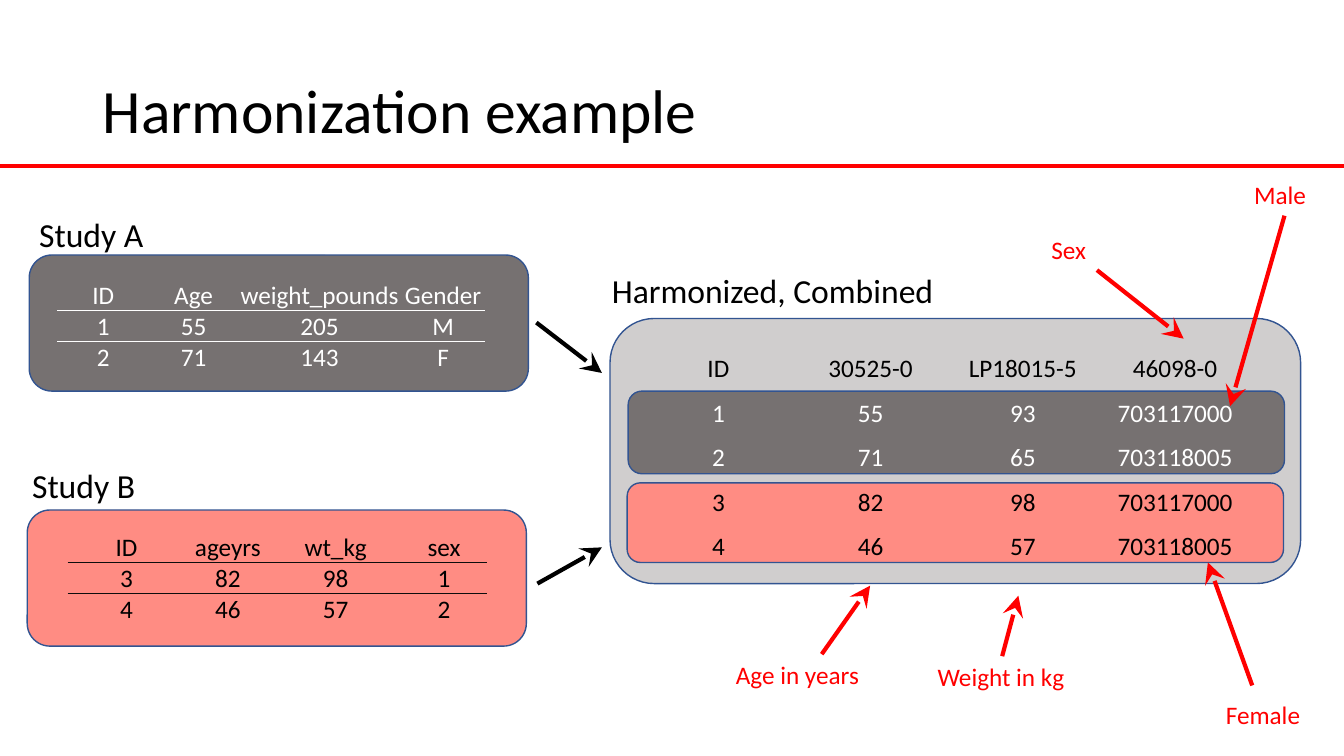
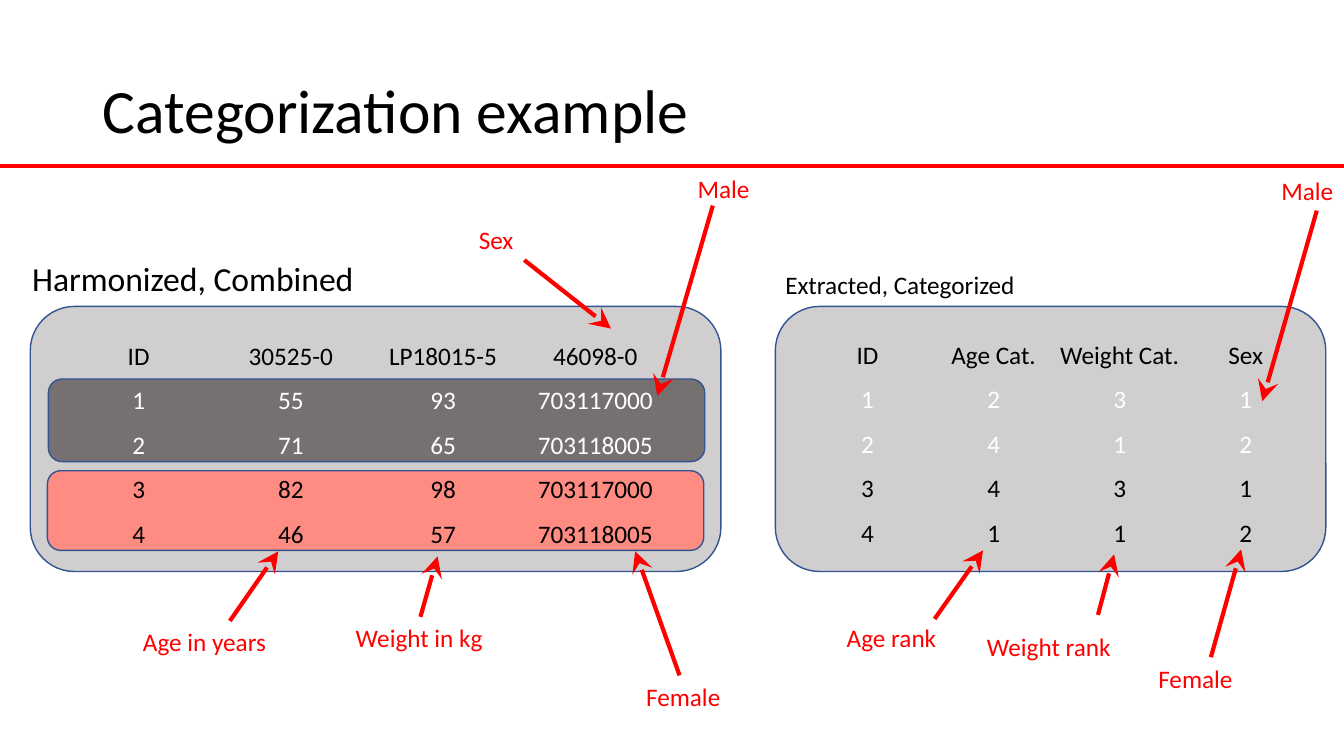
from lxml import etree
from pptx import Presentation
from pptx.dml.color import RGBColor
from pptx.enum import shapes, text
from pptx.oxml import ns
from pptx.util import Inches, Pt

# Shared look
FONT = "Calibri"
BLACK = RGBColor(0, 0, 0)
WHITE = RGBColor(255, 255, 255)
RED = RGBColor(255, 0, 0)
GRAY = RGBColor(0x76, 0x71, 0x71)
LIGHT_GRAY = RGBColor(0xD0, 0xCE, 0xCE)
SALMON = RGBColor(0xFF, 0x8C, 0x83)
OUTLINE = RGBColor(0x32, 0x54, 0x91)
NEAR_BLACK = RGBColor(0x0D, 0x0D, 0x0D)
NO_STYLE = "{2D5ABB26-0587-4C30-8999-92F81FD0307C}"
WIDTH, HEIGHT = 13.33, 7.5

# Table content
STUDY_A = [("ID", "Age", "weight_pounds", "Gender"),
           ("1", "55", "205", "M"),
           ("2", "71", "143", "F")]
STUDY_B = [("ID", "ageyrs", "wt_kg", "sex"),
           ("3", "82", "98", "1"),
           ("4", "46", "57", "2")]
COMBINED = [("ID", "30525-0", "LP18015-5", "46098-0"),
            ("1", "55", "93", "703117000"),
            ("2", "71", "65", "703118005"),
            ("3", "82", "98", "703117000"),
            ("4", "46", "57", "703118005")]
CATEGORIZED = [("ID", "Age Cat.", "Weight Cat.", "Sex"),
               ("1", "2", "3", "1"),
               ("2", "4", "1", "2"),
               ("3", "4", "3", "1"),
               ("4", "1", "1", "2")]
MERGED_COLORS = [BLACK, WHITE, WHITE, BLACK, BLACK]

# Study panels: name, name position, panel position, fill, text colour,
# rule colour, table position, column widths, rows
STUDIES = [
    ("Study B", (0.22, 4.56, 1.23), (0.27, 5.06), SALMON, BLACK, NEAR_BLACK,
     (0.67, 5.27), (1.17, 0.84, 1.3, 0.85), STUDY_B),
    ("Study A", (0.29, 2.07, 1.25), (0.29, 2.53), GRAY, WHITE, WHITE,
     (0.57, 2.77), (0.91, 0.88, 1.62, 0.83), STUDY_A),
]
MERGE_ARROWS = [((5.33, 5.79), (5.97, 5.43)), ((5.32, 3.2), (5.97, 3.7))]

# Callouts: label, label position, arrow tail, arrow tip
LABEL_WIDTHS = {"Age in years": 1.44, "Weight in kg": 1.48, "Sex": 0.55,
                "Male": 0.72, "Female": 1.03, "Age rank": 1.1,
                "Weight rank": 1.44}
WRAPPED_LABELS = {"Female"}
HARMONIZATION_CALLOUTS = [
    ("Age in years", (7.2, 6.49), (8.15, 6.49), (8.63, 5.81)),
    ("Weight in kg", (9.2, 6.51), (9.94, 6.51), (10.1, 5.91)),
    ("Sex", (10.33, 2.28), (10.88, 2.68), (11.74, 3.36)),
    ("Male", (12.34, 1.73), (12.74, 2.14), (12.2, 4.03)),
    ("Female", (12.06, 6.89), (12.42, 6.8), (11.98, 5.58)),
]
CATEGORIZATION_CALLOUTS = [
    ("Age in years", (1.32, 6.16), (2.28, 6.16), (2.76, 5.47)),
    ("Weight in kg", (3.43, 6.12), (4.17, 6.12), (4.34, 5.52)),
    ("Sex", (4.65, 2.18), (5.2, 2.58), (6.06, 3.26)),
    ("Male", (6.82, 1.67), (7.07, 2.04), (6.52, 3.93)),
    ("Female", (6.31, 6.71), (6.74, 6.7), (6.3, 5.47)),
    ("Age rank", (8.3, 6.12), (9.27, 6.14), (9.75, 5.46)),
    ("Weight rank", (9.69, 6.21), (10.89, 6.1), (11.05, 5.5)),
    ("Male", (12.61, 1.69), (13.06, 2.09), (12.52, 3.98)),
    ("Female", (11.39, 6.53), (12.01, 6.52), (12.31, 5.45)),
]

presentation = Presentation()
presentation.slide_width = Inches(WIDTH)
presentation.slide_height = Inches(HEIGHT)


# Drawing helpers
def write(frame, words, size=18, color=BLACK, align=None, spacing=None):
    paragraph = frame.paragraphs[0]
    paragraph.alignment = align
    paragraph.line_spacing = spacing
    run = paragraph.add_run()
    run.text = words
    run.font.name = FONT
    run.font.size = Pt(size)
    run.font.color.rgb = color


def add_label(slide, words, left, top, width, size=18, wrap=False, **style):
    height = 0.5 if size > 18 else 0.4
    frame = slide.shapes.add_textbox(
        Inches(left), Inches(top), Inches(width), Inches(height)).text_frame
    frame.word_wrap = wrap
    frame.auto_size = text.MSO_AUTO_SIZE.SHAPE_TO_FIT_TEXT
    write(frame, words, size=size, **style)


def add_panel(slide, left, top, width, height, fill):
    panel = slide.shapes.add_shape(
        shapes.MSO_SHAPE.ROUNDED_RECTANGLE,
        Inches(left), Inches(top), Inches(width), Inches(height))
    panel.shadow.inherit = False
    panel.fill.solid()
    panel.fill.fore_color.rgb = fill
    panel.line.color.rgb = OUTLINE
    panel.line.width = Pt(1)


def add_line(slide, start, end, color=RED, arrow=True):
    points = [Inches(value) for value in (*start, *end)]
    line = slide.shapes.add_connector(shapes.MSO_CONNECTOR.STRAIGHT, *points)
    line.line.color.rgb = color
    line.line.width = Pt(3)
    if arrow:
        etree.SubElement(line.line._get_or_add_ln(), ns.qn("a:tailEnd"),
                         type="stealth", w="lg", len="lg")
    etree.SubElement(line._element.spPr, ns.qn("a:effectLst"))


def add_border(cell, side, color):
    border = etree.Element(ns.qn("a:" + side), w=str(Pt(1)))
    fill = etree.SubElement(border, ns.qn("a:solidFill"))
    etree.SubElement(fill, ns.qn("a:srgbClr"), val=str(color))
    cell._tc.get_or_add_tcPr().insert(0, border)


def add_grid(slide, left, top, widths, height, rows, colors, rule=None):
    table = slide.shapes.add_table(
        len(rows), len(widths), Inches(left), Inches(top),
        Inches(sum(widths)), Inches(height)).table
    table.first_row = table.horz_banding = False
    table._tbl.tblPr.find(ns.qn("a:tableStyleId")).text = NO_STYLE
    for column, width in zip(table.columns, widths):
        column.width = Inches(width)
    for r, (values, color) in enumerate(zip(rows, colors)):
        for c, value in enumerate(values):
            cell = table.cell(r, c)
            cell.fill.background()
            cell.vertical_anchor = text.MSO_ANCHOR.BOTTOM
            cell.margin_left = cell.margin_right = Inches(0.01)
            cell.margin_top, cell.margin_bottom = Inches(0.01), 0
            write(cell.text_frame, value, color=color,
                  align=text.PP_ALIGN.CENTER)
            if rule is not None and r < 2:
                add_border(cell, "lnT" if r else "lnB", rule)


# Parts of the slides
def new_slide(title):
    slide = presentation.slides.add_slide(presentation.slide_layouts[6])
    frame = slide.shapes.add_textbox(
        Inches(0.92), Inches(0.4), Inches(11.5), Inches(1.45)).text_frame
    frame.word_wrap = True
    frame.vertical_anchor = text.MSO_ANCHOR.MIDDLE
    write(frame, title, size=44, spacing=0.9)
    add_line(slide, (0, 1.65), (WIDTH, 1.65), arrow=False)
    return slide


def add_combined(slide, left, top):
    add_panel(slide, left, top, 6.85, 2.63, LIGHT_GRAY)
    add_panel(slide, left + 0.17, top + 1.63, 6.51, 0.79, SALMON)
    add_panel(slide, left + 0.18, top + 0.72, 6.51, 0.82, GRAY)
    add_label(slide, "Harmonized, Combined", left - 0.08, top - 0.53, 3.42,
              size=24)
    add_grid(slide, left + 0.32, top + 0.21, [1.51] * 4, 2.21, COMBINED,
             MERGED_COLORS)


def add_callouts(slide, callouts):
    for words, (left, top), tail, tip in callouts:
        add_line(slide, tail, tip)
        add_label(slide, words, left, top, LABEL_WIDTHS[words], color=RED,
                  wrap=words in WRAPPED_LABELS)


# Slide 1: two studies become one table
slide = new_slide("Harmonization example")
add_combined(slide, 6.05, 3.16)
for name, place, corner, fill, color, rule, origin, widths, rows in STUDIES:
    add_panel(slide, *corner, 4.95, 1.35, fill)
    add_label(slide, name, *place, size=24)
    add_grid(slide, *origin, widths, 0.93, rows, [color] * len(rows), rule)
add_callouts(slide, HARMONIZATION_CALLOUTS)
for tail, tip in MERGE_ARROWS:
    add_line(slide, tail, tip, color=BLACK)

# Slide 2: combined values become categories
slide = new_slide("Categorization example")
add_combined(slide, 0.3, 3.04)
add_panel(slide, 7.69, 3.04, 5.46, 2.63, LIGHT_GRAY)
add_label(slide, "Extracted, Categorized", 7.69, 2.62, 2.5)
add_grid(slide, 7.98, 3.24, [1.25] * 4, 2.21, CATEGORIZED, MERGED_COLORS)
add_callouts(slide, CATEGORIZATION_CALLOUTS)

presentation.save("out.pptx")
